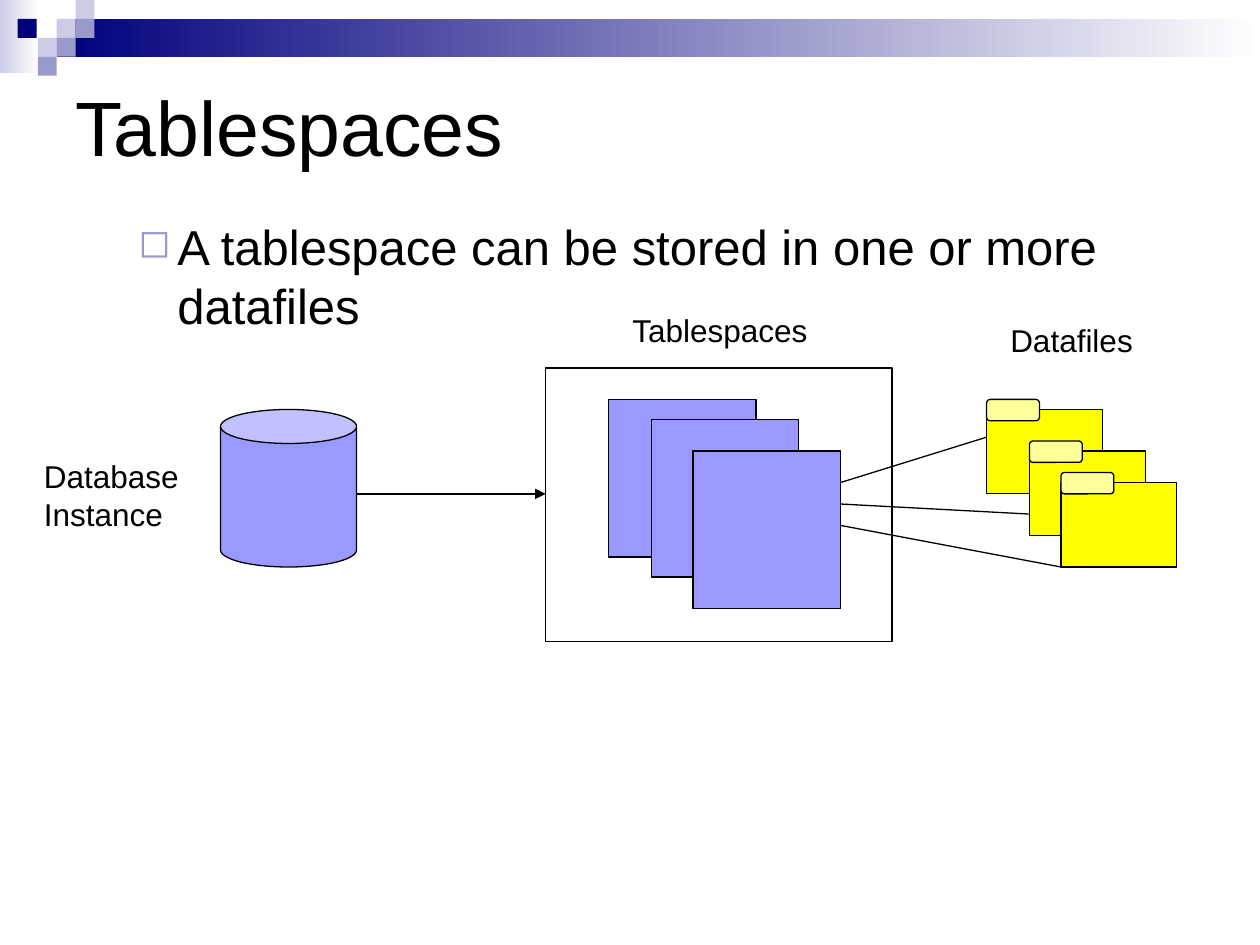
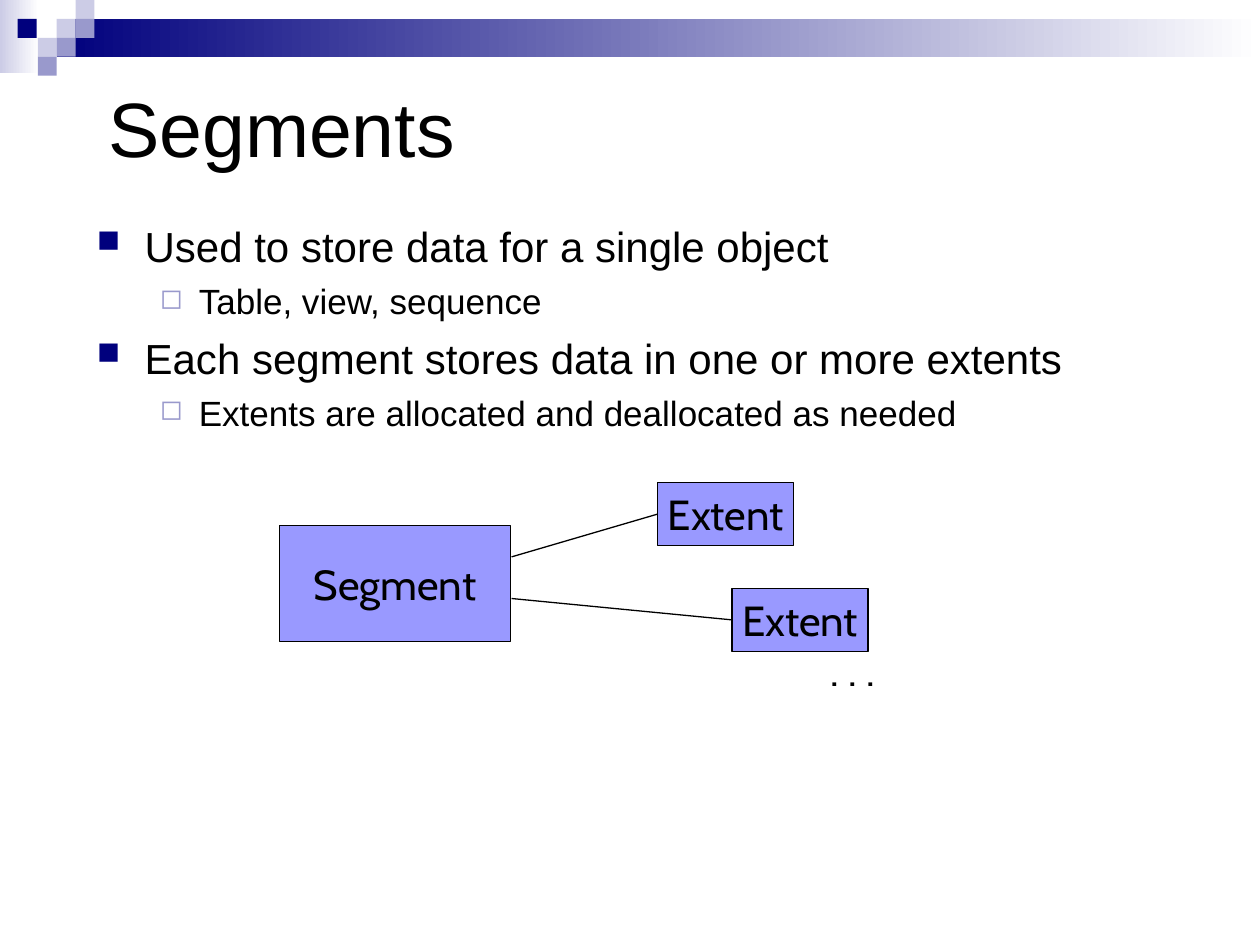
from dataclasses import dataclass
from typing import NamedTuple, Optional

from lxml import etree
from pptx import Presentation
from pptx.dml import color
from pptx.enum import shapes, text
from pptx.oxml import ns
from pptx.util import Inches, Pt

KIND = shapes.MSO_SHAPE
ALIGN = text.PP_ALIGN
ANCHOR = text.MSO_ANCHOR


@dataclass(frozen=True)
class Theme:
    ink: str = "000000"
    paper: str = "FFFFFF"
    navy: str = "00007D"
    slate: str = "9999CC"
    mist: str = "CCCCE6"
    block: str = "9999FF"
    folder: str = "FFFF00"
    folder_tab: str = "FFFF99"
    font: str = "Arial"
    diagram_font: str = "Cabin"
    title_size: int = 44
    lead_size: int = 28
    point_size: int = 24
    detail_size: int = 20
    label_size: int = 18
    line_width: float = 0.75


THEME = Theme()


class Box(NamedTuple):
    left: float
    top: float
    width: float
    height: float


class Bullet(NamedTuple):
    level: int
    mark: str
    colour: str
    percent: int
    margin: float
    hanging: float
    space_before: int


class Line(NamedTuple):
    words: str
    size: int
    bullet: Optional[Bullet] = None


POINT = Bullet(0, "■", THEME.navy, 75, 0.38, 0.38, 6)
DETAIL = Bullet(1, "◻", THEME.slate, 80, 0.81, 0.31, 5)

TILE = 0.15
BAND_TILES = [
    (0.45, 0.15, THEME.mist),
    (0.6, 0, THEME.mist),
    (0.6, 0.15, THEME.slate),
    (0.3, 0.3, THEME.mist),
    (0.14, 0.15, THEME.navy),
    (0.45, 0.3, THEME.slate),
    (0.3, 0.45, THEME.slate),
]


def rgb(value: str) -> color.RGBColor:
    return color.RGBColor.from_string(value)


def inches(values) -> list:
    return [Inches(value) for value in values]


def add_mark(parent, tag: str, **attributes: str):
    return etree.SubElement(parent, ns.qn(tag), attributes)


def set_bullet(paragraph, bullet: Bullet) -> None:
    paragraph.level = bullet.level
    properties = paragraph._p.get_or_add_pPr()
    properties.set("marL", str(Inches(bullet.margin)))
    properties.set("indent", str(-Inches(bullet.hanging)))
    add_mark(add_mark(properties, "a:buClr"), "a:srgbClr", val=bullet.colour)
    add_mark(properties, "a:buSzPct", val=str(bullet.percent * 1000))
    add_mark(properties, "a:buChar", char=bullet.mark)


def write(frame, lines: list[Line], *, font: str = THEME.font, align=ALIGN.LEFT,
          anchor=ANCHOR.TOP, wrap: bool = False) -> None:
    frame.word_wrap = wrap
    frame.vertical_anchor = anchor
    for index, line in enumerate(lines):
        paragraph = frame.add_paragraph() if index else frame.paragraphs[0]
        paragraph.alignment = align
        if line.bullet:
            if index:
                paragraph.space_before = Pt(line.bullet.space_before)
            set_bullet(paragraph, line.bullet)
        run = paragraph.add_run()
        run.text = line.words
        run.font.name = font
        run.font.size = Pt(line.size)
        run.font.color.rgb = rgb(THEME.ink)


def add_text(slide, box: Box, lines: list[Line], **style) -> None:
    write(slide.shapes.add_textbox(*inches(box)).text_frame, lines, **style)


def add_block(slide, box: Box, fill: str, *, kind=KIND.RECTANGLE,
              fade_to: str = "", outlined: bool = True, label: str = "") -> None:
    block = slide.shapes.add_shape(kind, *inches(box))
    block.shadow.inherit = False
    if fade_to:
        block.fill.gradient()
        block.fill.gradient_angle = 0
        for stop, shade in zip(block.fill.gradient_stops, (fill, fade_to)):
            stop.color.rgb = rgb(shade)
    else:
        block.fill.solid()
        block.fill.fore_color.rgb = rgb(fill)
    if outlined:
        block.line.color.rgb = rgb(THEME.ink)
        block.line.width = Pt(THEME.line_width)
    else:
        block.line.fill.background()
    if label:
        write(block.text_frame, [Line(label, THEME.point_size)],
              font=THEME.diagram_font, align=ALIGN.CENTER, anchor=ANCHOR.MIDDLE)


def add_link(slide, start: tuple, end: tuple, arrow: bool = False) -> None:
    link = slide.shapes.add_connector(shapes.MSO_CONNECTOR.STRAIGHT, *inches(start + end))
    link.line.color.rgb = rgb(THEME.ink)
    link.line.width = Pt(THEME.line_width)
    if arrow:
        add_mark(link.line._get_or_add_ln(), "a:tailEnd", type="triangle")
    add_mark(link._element.spPr, "a:effectLst")


def add_folder(slide, left: float, top: float) -> None:
    add_block(slide, Box(left, top, 0.92, 0.67), THEME.folder)
    add_block(slide, Box(left, top - 0.08, 0.42, 0.17), THEME.folder_tab,
              kind=KIND.ROUNDED_RECTANGLE)


def start_slide(deck, title: str, title_box: Box, anchor):
    slide = deck.slides.add_slide(deck.slide_layouts[6])
    add_block(slide, Box(0, 0, 0.31, 0.58), THEME.mist, fade_to=THEME.paper, outlined=False)
    add_block(slide, Box(0.45, 0.15, 9.55, 0.3), THEME.navy, fade_to=THEME.paper, outlined=False)
    for left, top, shade in BAND_TILES:
        add_block(slide, Box(left, top, TILE, TILE), shade, outlined=False)
    add_text(slide, title_box, [Line(title, THEME.title_size)], anchor=anchor, wrap=True)
    return slide


def build_tablespaces(deck) -> None:
    slide = start_slide(deck, "Tablespaces", Box(0.5, 0.5, 9, 1), ANCHOR.MIDDLE)
    add_text(slide, Box(0.5, 1.67, 9, 4.25),
             [Line("A tablespace can be stored in one or more datafiles", THEME.lead_size, DETAIL)],
             wrap=True)

    add_block(slide, Box(4.33, 2.92, 2.75, 2.17), THEME.paper)
    add_block(slide, Box(1.75, 3.25, 1.08, 1.25), THEME.block, kind=KIND.CAN)
    for left, top in [(4.83, 3.17), (5.17, 3.33), (5.5, 3.58)]:
        add_block(slide, Box(left, top, 1.17, 1.25), THEME.block)
    add_link(slide, (2.83, 3.92), (4.33, 3.92), arrow=True)

    for left, top in [(7.83, 3.25), (8.17, 3.58), (8.42, 3.83)]:
        add_folder(slide, left, top)
    for start_y, folder_end in [(3.83, (7.83, 3.47)), (4, (8.17, 4.08)), (4.17, (8.42, 4.5))]:
        add_link(slide, (6.67, start_y), folder_end)

    captions = [
        (Box(0.25, 3.58, 1.34, 0.7), ["Database", "Instance"]),
        (Box(4.92, 2.42, 1.61, 0.4), ["Tablespaces"]),
        (Box(7.92, 2.5, 1.17, 0.4), ["Datafiles"]),
    ]
    for box, words in captions:
        add_text(slide, box, [Line(word, THEME.label_size) for word in words])


def build_segments(deck) -> None:
    slide = start_slide(deck, "Segments", Box(0.76, 0.17, 8.52, 1.25), ANCHOR.BOTTOM)
    add_text(slide, Box(0.67, 1.7, 8.5, 4.5), [
        Line("Used to store data for a single object", THEME.point_size, POINT),
        Line("Table, view, sequence", THEME.detail_size, DETAIL),
        Line("Each segment stores data in one or more extents", THEME.point_size, POINT),
        Line("Extents are allocated and deallocated as needed", THEME.detail_size, DETAIL),
    ], wrap=True)

    add_block(slide, Box(2.22, 4.17, 1.83, 0.92), THEME.block,
              kind=KIND.FLOWCHART_PROCESS, label="Segment")
    for left, top, segment_y in [(5.22, 3.83, 4.42), (5.81, 4.67, 4.75)]:
        extent = Box(left, top, 1.08, 0.5)
        add_block(slide, extent, THEME.block, label="Extent")
        add_link(slide, (left, top + extent.height / 2), (4.06, segment_y))
    add_text(slide, Box(6.49, 5.07, 0.64, 0.5), [Line(". . .", THEME.point_size)],
             font=THEME.diagram_font)


def main() -> None:
    deck = Presentation()
    deck.slide_width, deck.slide_height = Inches(10), Inches(7.5)
    build_tablespaces(deck)
    build_segments(deck)
    deck.save("out.pptx")


if __name__ == "__main__":
    main()
